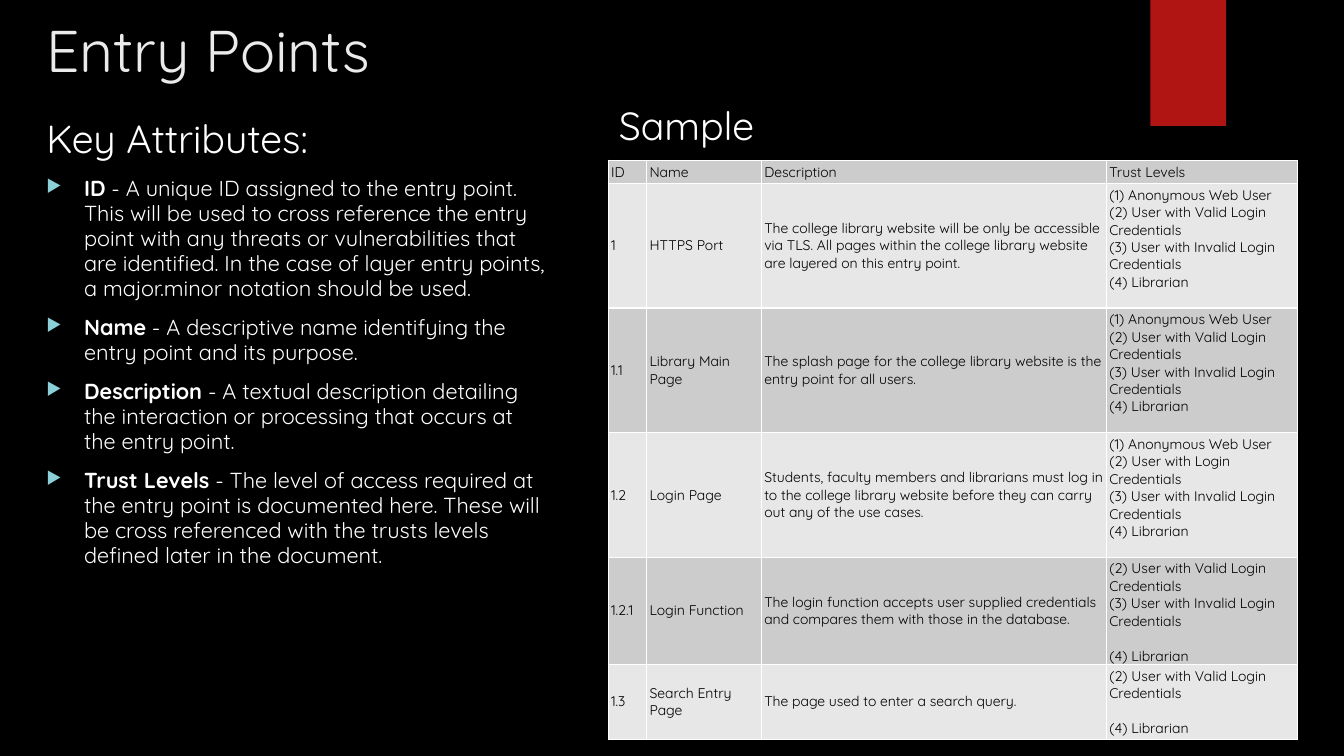
import pptx
import pptx.util
import pptx.dml.color
import pptx.enum.shapes
import pptx.enum.text
import pptx.oxml.ns
from dataclasses import dataclass
from lxml import etree

Pt = pptx.util.Pt
MIDDLE = pptx.enum.text.MSO_ANCHOR.MIDDLE
TOP = pptx.enum.text.MSO_ANCHOR.TOP


@dataclass(frozen=True)
class Theme:
    font: str = "Quicksand"
    background: str = "000000"
    accent: str = "B01513"
    bullet: str = "8AD0D6"
    title: str = "EBEBEB"
    light: str = "FFFFFF"
    dark: str = "000000"
    bands: tuple = ("CCCCCC", "E7E7E7")
    title_size: float = 42
    heading_size: float = 28
    body_size: float = 15.5
    table_size: float = 10


THEME = Theme()

ATTRIBUTES = [
    ("ID", "A unique ID assigned to the entry point. This will be used to cross reference the entry point "
     "with any threats or vulnerabilities that are identified. In the case of layer entry points, "
     "a major.minor notation should be used."),
    ("Name", "A descriptive name identifying the entry point and its purpose."),
    ("Description", "A textual description detailing the interaction or processing that occurs at the entry point."),
    ("Trust Levels", "The level of access required at the entry point is documented here. These will be "
     "cross referenced with the trusts levels defined later in the document."),
]

ANONYMOUS = "(1) Anonymous Web User"
VALID = "(2) User with Valid Login Credentials"
LOGIN = "(2) User with Login Credentials"
INVALID = "(3) User with Invalid Login Credentials"
LIBRARIAN = "(4) Librarian"

COLUMNS = [27.5, 82, 246.5, 136.5]
LINE = 12.5
ENTRY_POINTS = [
    (16.5, 0, "ID", "Name", "Description", [["Trust Levels"]]),
    (89, LINE, "1", "HTTPS Port",
     "The college library website will be only be accessible via TLS. All pages within the college "
     "library website are layered on this entry point.",
     [[ANONYMOUS, VALID, INVALID, LIBRARIAN]]),
    (89, LINE, "1.1", "Library Main Page",
     "The splash page for the college library website is the entry point for all users.",
     [[ANONYMOUS, VALID, INVALID, LIBRARIAN]]),
    (89, LINE, "1.2", "Login Page",
     "Students, faculty members and librarians must log in to the college library website before "
     "they can carry out any of the use cases.",
     [[ANONYMOUS, LOGIN, INVALID, LIBRARIAN]]),
    (76.5, 0, "1.2.1", "Login Function",
     "The login function accepts user supplied credentials and compares them with those in the database.",
     [[VALID, INVALID], [LIBRARIAN]]),
    (53.5, 0, "1.3", "Search Entry Page", "The page used to enter a search query.",
     [[VALID], [LIBRARIAN]]),
]


def rgb(color):
    return pptx.dml.color.RGBColor.from_string(color)


def add_run(p, text, size, color, bold=False):
    r = p.add_run()
    r.text = text
    r.font.name = THEME.font
    r.font.size = Pt(size)
    r.font.bold = bold
    r.font.color.rgb = rgb(color)


def add_text_box(s, x, y, w, h, anchor):
    tf = s.shapes.add_textbox(Pt(x), Pt(y), Pt(w), Pt(h)).text_frame
    tf.word_wrap = True
    tf.vertical_anchor = anchor
    return tf


def add_heading(s, x, y, w, h, text, size, color):
    tf = add_text_box(s, x, y, w, h, MIDDLE)
    add_run(tf.paragraphs[0], text, size, color)


def set_bullet(p, indent):
    pPr = p._p.get_or_add_pPr()
    pPr.set("marL", str(Pt(indent)))
    pPr.set("indent", str(-Pt(indent)))
    qn = pptx.oxml.ns.qn
    color = etree.SubElement(pPr, qn("a:buClr"))
    etree.SubElement(color, qn("a:srgbClr"), val=THEME.bullet)
    etree.SubElement(pPr, qn("a:buSzPct"), val="80000")
    etree.SubElement(pPr, qn("a:buChar"), char="▶")


def add_attributes(s, x, y, w, h):
    tf = add_text_box(s, x, y, w, h, TOP)
    p = tf.paragraphs[0]
    p.space_before = Pt(10)
    p.line_spacing = 0.96
    add_run(p, "Key Attributes:", THEME.heading_size, THEME.light)
    for name, text in ATTRIBUTES:
        p = tf.add_paragraph()
        p.space_before = Pt(10)
        p.line_spacing = 0.96
        set_bullet(p, 27)
        add_run(p, name, THEME.body_size, THEME.light, True)
        add_run(p, "\u00a0- " + text, THEME.body_size, THEME.light)


def set_borders(cell):
    qn = pptx.oxml.ns.qn
    tcPr = cell._tc.get_or_add_tcPr()
    for i, side in enumerate(("lnL", "lnR", "lnT", "lnB")):
        ln = etree.Element(qn("a:" + side), w=str(Pt(1)))
        fill = etree.SubElement(ln, qn("a:solidFill"))
        etree.SubElement(fill, qn("a:srgbClr"), val=THEME.light)
        tcPr.insert(i, ln)


def fill_cell(cell, paragraphs, band, space_below):
    cell.fill.solid()
    cell.fill.fore_color.rgb = rgb(band)
    cell.vertical_anchor = MIDDLE
    cell.margin_left = cell.margin_right = cell.margin_top = Pt(2)
    cell.margin_bottom = Pt(2 + space_below)
    set_borders(cell)
    tf = cell.text_frame
    for i, lines in enumerate(paragraphs):
        p = tf.add_paragraph() if i else tf.paragraphs[0]
        if i:
            p.space_before = Pt(LINE)
        for j, line in enumerate(lines):
            if j:
                p.add_line_break()
            add_run(p, line, THEME.table_size, THEME.dark)


def add_entry_table(s, x, y):
    heights = [row[0] for row in ENTRY_POINTS]
    frame = s.shapes.add_table(len(heights), len(COLUMNS), Pt(x), Pt(y), Pt(sum(COLUMNS)), Pt(sum(heights)))
    table = frame.table
    for column, width in zip(table.columns, COLUMNS):
        column.width = Pt(width)
    for i, (height, space_below, *texts, levels) in enumerate(ENTRY_POINTS):
        table.rows[i].height = Pt(height)
        band = THEME.bands[i % 2]
        for j, text in enumerate(texts):
            fill_cell(table.cell(i, j), [[text]], band, 0)
        fill_cell(table.cell(i, len(texts)), levels, band, space_below)


def add_ribbon(s, x, y, w, h):
    sp = s.shapes.add_shape(pptx.enum.shapes.MSO_SHAPE.RECTANGLE, Pt(x), Pt(y), Pt(w), Pt(h))
    sp.shadow.inherit = False
    sp.fill.solid()
    sp.fill.fore_color.rgb = rgb(THEME.accent)
    sp.line.fill.background()


def main():
    prs = pptx.Presentation()
    prs.slide_width, prs.slide_height = Pt(960), Pt(540)
    s = prs.slides.add_slide(prs.slide_layouts[6])
    s.background.fill.solid()
    s.background.fill.fore_color.rgb = rgb(THEME.background)
    add_ribbon(s, 821.75, 0, 54, 90)
    add_heading(s, 26, 4, 741, 62, "Entry Points", THEME.title_size, THEME.title)
    add_attributes(s, 26, 80, 371, 343)
    add_heading(s, 435, 69, 219, 41, "Sample", THEME.heading_size, THEME.light)
    add_entry_table(s, 434.5, 114.5)
    prs.save("out.pptx")


if __name__ == "__main__":
    main()
